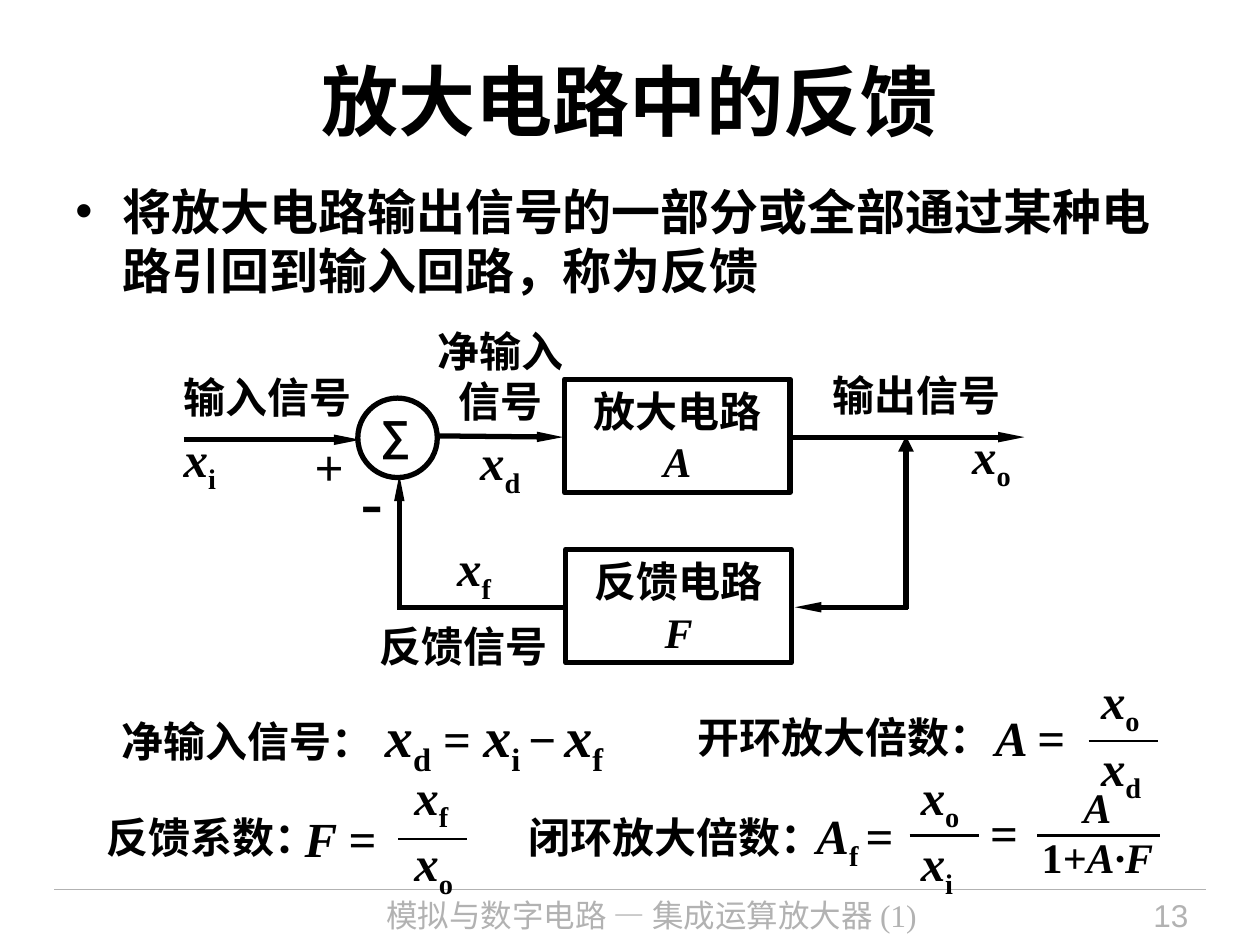
from dataclasses import dataclass

from lxml import etree
from pptx import Presentation
from pptx.dml.color import RGBColor
from pptx.enum.shapes import MSO_CONNECTOR, MSO_SHAPE
from pptx.enum.text import MSO_ANCHOR, PP_ALIGN
from pptx.oxml.ns import qn
from pptx.util import Pt

LEFT, CENTER, RIGHT = PP_ALIGN.LEFT, PP_ALIGN.CENTER, PP_ALIGN.RIGHT
TOP, MIDDLE = MSO_ANCHOR.TOP, MSO_ANCHOR.MIDDLE
RECT, OVAL = MSO_SHAPE.RECTANGLE, MSO_SHAPE.OVAL
STRAIGHT = MSO_CONNECTOR.STRAIGHT


@dataclass(frozen=True)
class Theme:
    ink: RGBColor = RGBColor(0, 0, 0)
    muted: RGBColor = RGBColor(0xB2, 0xB2, 0xB2)
    sans: str = "Arial"
    serif: str = "Times New Roman"
    title: int = 44
    minus: int = 40
    equation: int = 32
    body: int = 28
    label: int = 24
    footer: int = 18
    wire: float = 3
    bar: float = 1.5
    rule: float = 0.75


THEME = Theme()


def run(text, **fmt):
    return text, fmt


def var(name, index="", size=THEME.body):
    runs = [run(name, italic=True, size=Pt(size))]
    if index:
        runs.append(run(index, size=Pt(size), baseline=-25000))
    return runs


def para(*runs, align=LEFT, before=0):
    return runs, {"alignment": align, "space_before": Pt(before)}


class Builder:
    def __init__(self, theme, slide):
        self.theme = theme
        self.s = slide

    def fill_text(self, tf, paras, color=None, **base):
        defaults = {"name": self.theme.serif, "size": Pt(self.theme.label), "bold": True}
        for n, (runs, layout) in enumerate(paras):
            p = tf.paragraphs[0] if n == 0 else tf.add_paragraph()
            for key, value in layout.items():
                setattr(p, key, value)
            for text, fmt in runs:
                r = p.add_run()
                r.text = text
                values = {**defaults, **base, **fmt}
                baseline = values.pop("baseline", None)
                for key, value in values.items():
                    setattr(r.font, key, value)
                r.font.color.rgb = color or self.theme.ink
                if baseline:
                    r._r.get_or_add_rPr().set("baseline", str(baseline))

    def title(self, text, box):
        sp = self.s.shapes.title
        for key, value in zip(("left", "top", "width", "height"), box):
            setattr(sp, key, Pt(value))
        sp.text_frame.vertical_anchor = MIDDLE
        self.fill_text(sp.text_frame, [para(run(text), align=CENTER)],
                       name=self.theme.sans, size=Pt(self.theme.title))

    def text(self, box, *paras, wrap=True, anchor=TOP, inset=None, **fmt):
        sp = self.s.shapes.add_textbox(*map(Pt, box))
        tf = sp.text_frame
        tf.word_wrap = wrap
        tf.vertical_anchor = anchor
        if inset is not None:
            for side in ("left", "top", "right", "bottom"):
                setattr(tf, f"margin_{side}", Pt(inset))
        self.fill_text(tf, paras, **fmt)
        return sp

    def bullet(self, box, text):
        sp = self.text(box)
        p = sp.text_frame.paragraphs[0]
        pPr = p._p.get_or_add_pPr()
        pPr.set("marL", str(Pt(27)))
        pPr.set("indent", str(Pt(-27)))
        font = etree.SubElement(pPr, qn("a:buFont"))
        font.set("typeface", self.theme.sans)
        etree.SubElement(pPr, qn("a:buChar")).set("char", "•")
        self.fill_text(sp.text_frame, [para(run(text))],
                       name=self.theme.sans, size=Pt(self.theme.body))

    def shape(self, kind, box, *paras):
        sp = self.s.shapes.add_shape(kind, *map(Pt, box))
        sp.shadow.inherit = False
        sp.fill.background()
        sp.line.color.rgb = self.theme.ink
        sp.line.width = Pt(self.theme.wire)
        sp.text_frame.vertical_anchor = MIDDLE
        self.fill_text(sp.text_frame, paras)

    def line(self, x1, y1, x2, y2, width, color=None, arrow=None):
        cn = self.s.shapes.add_connector(STRAIGHT, *map(Pt, (x1, y1, x2, y2)))
        cn.line.width = Pt(width)
        cn.line.color.rgb = color or self.theme.ink
        if arrow:
            ln = cn._element.spPr.find(qn("a:ln"))
            end = etree.SubElement(ln, qn("a:tailEnd"))
            for key, value in zip(("type", "w", "len"), ("triangle", *arrow)):
                end.set(key, value)
        etree.SubElement(cn._element.spPr, qn("a:effectLst"))

    def ratio(self, eq, frac, bar, left, top, bottom):
        self.text((*eq, 68.4, 45), para(*left, run("=", size=Pt(self.theme.body))))
        self.text((*frac, 45.4, 83.5), para(*var("x", top)), para(*var("x", bottom)))
        x, y = bar
        self.line(x, y, x + 39.4, y, self.theme.bar)


def build():
    t = THEME
    prs = Presentation()
    prs.slide_width, prs.slide_height = Pt(720), Pt(540)
    b = Builder(t, prs.slides.add_slide(prs.slide_layouts[5]))

    b.title("放大电路中的反馈", (36, 12.24, 648, 90))
    b.bullet((36, 100, 648, 79.2), "将放大电路输出信号的一部分或全部通过某种电路引回到输入回路，称为反馈")

    b.line(31, 508.3, 689, 508.3, t.rule, t.muted)
    footer = {"color": t.muted, "size": Pt(t.footer), "bold": False}
    b.text((179.3, 508.3, 386, 31.7),
           para(run("模拟与数字电路 — 集成运算放大器 (1)"), align=CENTER), **footer)
    b.text((590.4, 508.3, 95.8, 31.7), para(run("13"), align=RIGHT),
           name=t.sans, **footer)

    for name, symbol, x, y in (("放大电路", "A", 322.6, 216.7),
                               ("反馈电路", "F", 323.3, 313.9)):
        b.shape(RECT, (x, y, 128.9, 64.8), para(run(name), align=CENTER),
                para(*var(symbol, size=t.label), align=CENTER))
    b.shape(OVAL, (204.5, 227.5, 45.4, 45.4))
    b.text((217.4, 233.3, 17.3, 28.8), para(run("∑")), wrap=False,
           anchor=MIDDLE, inset=0, name=t.sans)

    slim, regular = ("sm", "lg"), ("med", "med")
    for ends, arrow in (((105.1, 251.3, 205.9, 251.3), slim),
                        ((249.1, 249.1, 321.8, 249.8), slim),
                        ((450.7, 249.8, 585.4, 249.8), slim),
                        ((517.7, 347.8, 517.7, 249.1), regular),
                        ((519.1, 347, 454.3, 347), slim),
                        ((324, 347, 226.8, 347), None),
                        ((228.2, 347, 228.2, 271.4), slim)):
        b.line(*ends, t.wire, arrow=arrow)

    for box, name, index, name_align, var_align in (
            ((97.9, 208.8, 115.9, 77.8), "输入信号", "i", LEFT, LEFT),
            ((240.5, 182.2, 90.7, 106.6), "净输入 信号", "d", CENTER, CENTER),
            ((468.7, 207.4, 115.9, 77.8), "输出信号", "o", LEFT, RIGHT)):
        b.text(box, para(run(name), align=name_align),
               para(*var("x", index), align=var_align, before=3.5))
    b.text((209.5, 303.8, 115.9, 83.5), para(*var(" x", "f"), align=CENTER),
           para(run("反馈信号"), before=9))
    for sign, size, box in (("+", t.body, (172.8, 246.2, 30.2, 41)),
                            ("-", t.minus, (198.7, 258.5, 27.4, 55.4))):
        b.text(box, para(run(sign), align=CENTER), wrap=False,
               name=t.sans, size=Pt(size), bold=False)

    for name, box in (("开环放大倍数：", (391.7, 403.2, 182.2, 36)),
                      ("闭环放大倍数：", (295.2, 460.1, 182.2, 36)),
                      ("反馈系数：", (54, 460.1, 133.9, 36))):
        b.text(box, para(run(name)), wrap=False)
    big = t.equation
    b.text((62.6, 397.4, 329, 51.1),
           para(run("净输入信号："), run(" ", size=Pt(t.body)),
                *var("x", "d", big), run(" = ", size=Pt(t.body)),
                *var("x", "i ", big), run("−", size=Pt(t.body)),
                run(" ", size=Pt(big), baseline=-25000), *var("x", "f", big)))

    b.ratio((561.6, 401), (622.1, 379.4), (622.1, 423.4), var("A "), "o", "d")
    b.ratio((459.4, 456.5), (519.1, 434.2), (519.8, 477.4), var("A", "f "), "o", "i")
    b.ratio((167, 458.6), (229.7, 434.2), (227.5, 479.5), var("F "), "f", "o")
    b.text((558.7, 455, 33.8, 41), para(run("=")), size=Pt(t.body))
    b.text((582.5, 442.8, 89.3, 69.1), para(*var("A", size=t.label), align=CENTER),
           para(run("1"), *var("+A·F", size=t.label), align=CENTER))
    b.line(592.6, 477.4, 663.1, 477.4, t.bar)

    prs.save("out.pptx")


if __name__ == "__main__":
    build()
